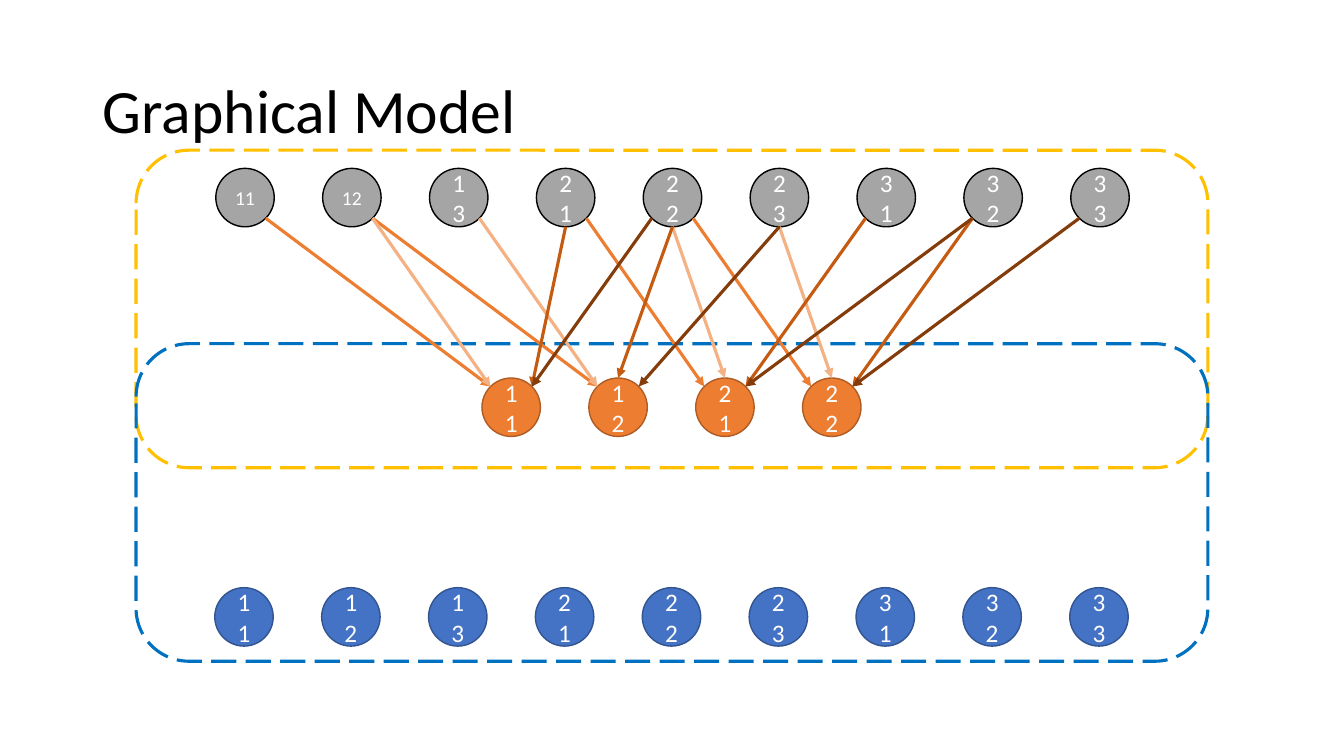
import dataclasses

import pptx
import pptx.util
import pptx.dml.color
import pptx.enum.dml
import pptx.enum.shapes
import pptx.enum.text
import pptx.oxml.ns
import lxml.etree

Inches = pptx.util.Inches
Pt = pptx.util.Pt
qn = pptx.oxml.ns.qn
Shape = pptx.enum.shapes.MSO_SHAPE
Align = pptx.enum.text.PP_ALIGN
Anchor = pptx.enum.text.MSO_ANCHOR


@dataclasses.dataclass(frozen=True)
class Theme:
    font: str = "Calibri"
    title: int = 44
    label: int = 18
    small: int = 14
    thin: float = 1
    thick: float = 2.25
    black: str = "000000"
    white: str = "FFFFFF"
    input: tuple = ("A5A5A5", "000000")
    hidden: tuple = ("ED7D31", "AF5C24")
    output: tuple = ("4472C4", "325491")
    upper: str = "FFC000"
    lower: str = "0070C0"
    links: tuple = (("ED7D31", "F4B183"), ("C55A11", "843C0B"))


THEME = Theme()
SIZE = 0.58
STEP = 1.06
DIAG = SIZE / 2 * 0.5 ** 0.5
NINE = [f"{row}{col}" for row in (1, 2, 3) for col in (1, 2, 3)]
FOUR = [f"{row}{col}" for row in (1, 2) for col in (1, 2)]


def color(code):
    return pptx.dml.color.RGBColor.from_string(code)


def style(font, size, code):
    font.name = THEME.font
    font.size = Pt(size)
    font.color.rgb = color(code)


def draw_title(slide, left, top, width, height):
    title = slide.shapes.title
    title.left, title.top = Inches(left), Inches(top)
    title.width, title.height = Inches(width), Inches(height)
    frame = title.text_frame
    frame.text = "Graphical Model"
    frame.vertical_anchor = Anchor.MIDDLE
    para = frame.paragraphs[0]
    para.alignment = Align.LEFT
    para.line_spacing = 0.9
    style(para.font, THEME.title, THEME.black)


def draw_row(slide, left, top, names, paint, small=()):
    group = slide.shapes.add_group_shape()
    nodes = {}
    for index, name in enumerate(names):
        node = group.shapes.add_shape(
            Shape.OVAL, Inches(left + index * STEP), Inches(top),
            Inches(SIZE), Inches(SIZE))
        node.shadow.inherit = False
        node.fill.solid()
        node.fill.fore_color.rgb = color(paint[0])
        node.line.color.rgb = color(paint[1])
        node.line.width = Pt(THEME.thin)
        frame = node.text_frame
        frame.text = name
        frame.vertical_anchor = Anchor.MIDDLE
        para = frame.paragraphs[0]
        para.alignment = Align.CENTER
        size = THEME.small if name in small else THEME.label
        style(para.font, size, THEME.white)
        nodes[name] = node
    return nodes


def draw_frame(slide, left, top, width, height, code):
    frame = slide.shapes.add_shape(
        Shape.ROUNDED_RECTANGLE, Inches(left), Inches(top),
        Inches(width), Inches(height))
    frame.shadow.inherit = False
    frame.fill.background()
    frame.line.color.rgb = color(code)
    frame.line.width = Pt(THEME.thick)
    frame.line.dash_style = pptx.enum.dml.MSO_LINE.LONG_DASH


def port(node, side, down):
    reach = DIAG if side else SIZE / 2
    return (node.left + node.width // 2 + Inches(side * DIAG),
            node.top + node.height // 2 + Inches(down * reach))


def draw_link(slide, source, target, code):
    gap = target.left - source.left
    near = abs(gap) < Inches(STEP)
    side = 1 if gap > 0 else -1
    pair = source.text_frame.text, target.text_frame.text
    leave = 0 if near or pair == ("23", "12") else side
    enter = 0 if near and pair != ("21", "11") else -side
    link = slide.shapes.add_connector(
        pptx.enum.shapes.MSO_CONNECTOR.STRAIGHT,
        *port(source, leave, 1), *port(target, enter, -1))
    if enter == 0:
        link.end_connect(target, 0)
    link.line.color.rgb = color(code)
    link.line.width = Pt(THEME.thick)
    line = link.line._get_or_add_ln()
    lxml.etree.SubElement(line, qn("a:tailEnd"), type="triangle")
    lxml.etree.SubElement(link._element.spPr, qn("a:effectLst"))


def draw_links(slide, inputs, hidden):
    for down, shades in enumerate(THEME.links):
        for right, code in enumerate(shades):
            for name, target in hidden.items():
                row, col = int(name[0]) + down, int(name[1]) + right
                draw_link(slide, inputs[f"{row}{col}"], target, code)


def draw_model(slide, left, top, width, height):
    inputs = draw_row(slide, left + 0.79, top + 0.18, NINE, THEME.input,
                      ("11", "12"))
    draw_row(slide, left + 0.78, top + 4.34, NINE, THEME.output)
    hidden = draw_row(slide, left + 3.43, top + 2.26, FOUR, THEME.hidden)
    tall = 3.15
    draw_frame(slide, left, top, width, tall, THEME.upper)
    draw_frame(slide, left, top + height - tall, width, tall, THEME.lower)
    draw_links(slide, inputs, hidden)


def main():
    deck = pptx.Presentation()
    deck.slide_width = Inches(13.33)
    deck.slide_height = Inches(7.5)
    slide = deck.slides.add_slide(deck.slide_layouts[5])
    draw_title(slide, 0.92, 0.4, 11.5, 1.45)
    draw_model(slide, 1.35, 1.49, 10.63, 5.07)
    deck.save("out.pptx")


if __name__ == "__main__":
    main()
